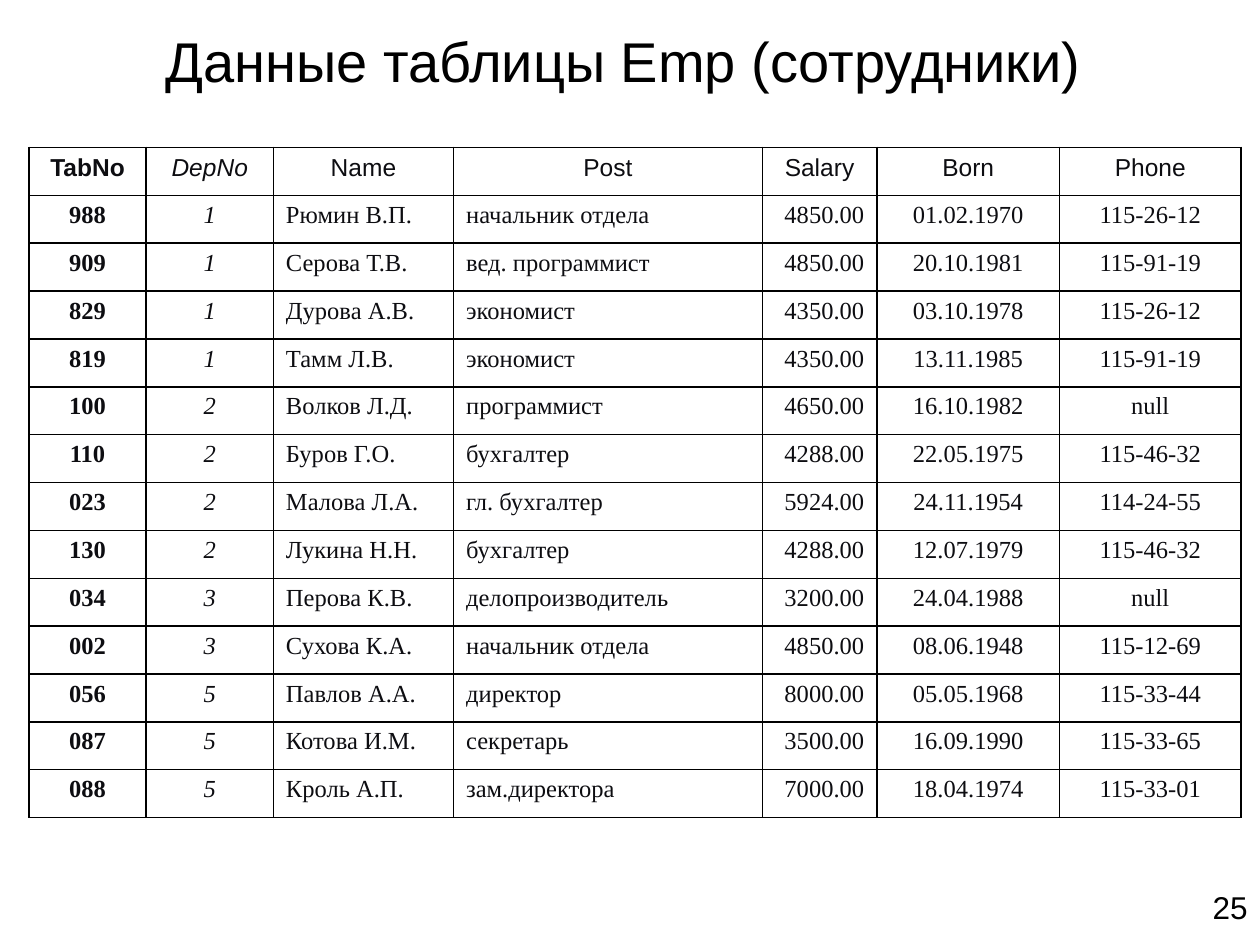
from pptx import Presentation
from pptx.dml.color import RGBColor as RGB
from pptx.enum.text import MSO_ANCHOR as Anchor, PP_ALIGN as Align
from pptx.oxml import parse_xml
from pptx.oxml.ns import nsdecls
from pptx.util import Inches, Pt

COLORS = {"black": "000000", "ink": "0D0D11", "white": "FFFFFF"}
SANS, SERIF = "Arial", "Times New Roman"

# Column heading, width in inches, alignment of the data
COLS = [
    ("TabNo", 0.93, Align.CENTER),
    ("DepNo", 1.01, Align.CENTER),
    ("Name", 1.43, Align.LEFT),
    ("Post", 2.45, Align.LEFT),
    ("Salary", 0.91, Align.RIGHT),
    ("Born", 1.45, Align.CENTER),
    ("Phone", 1.44, Align.CENTER),
]
ROW_H = 0.38

STAFF = [
    ("988", "1", "Рюмин В.П.", "начальник отдела", "4850.00", "01.02.1970", "115-26-12"),
    ("909", "1", "Серова Т.В.", "вед. программист", "4850.00", "20.10.1981", "115-91-19"),
    ("829", "1", "Дурова А.В.", "экономист", "4350.00", "03.10.1978", "115-26-12"),
    ("819", "1", "Тамм Л.В.", "экономист", "4350.00", "13.11.1985", "115-91-19"),
    ("100", "2", "Волков Л.Д.", "программист", "4650.00", "16.10.1982", "null"),
    ("110", "2", "Буров Г.О.", "бухгалтер", "4288.00", "22.05.1975", "115-46-32"),
    ("023", "2", "Малова Л.А.", "гл. бухгалтер", "5924.00", "24.11.1954", "114-24-55"),
    ("130", "2", "Лукина Н.Н.", "бухгалтер", "4288.00", "12.07.1979", "115-46-32"),
    ("034", "3", "Перова К.В.", "делопроизводитель", "3200.00", "24.04.1988", "null"),
    ("002", "3", "Сухова К.А.", "начальник отдела", "4850.00", "08.06.1948", "115-12-69"),
    ("056", "5", "Павлов А.А.", "директор", "8000.00", "05.05.1968", "115-33-44"),
    ("087", "5", "Котова И.М.", "секретарь", "3500.00", "16.09.1990", "115-33-65"),
    ("088", "5", "Кроль А.П.", "зам.директора", "7000.00", "18.04.1974", "115-33-01"),
]


def write(frame, text, size=14, font=SANS, color="ink", align=Align.CENTER,
          bold=False, italic=False):
    para = frame.paragraphs[0]
    para.alignment = align
    run = para.add_run()
    run.text = text
    face = run.font
    face.size, face.name = Pt(size), font
    face.bold, face.italic = bold, italic
    face.color.rgb = RGB.from_string(COLORS[color])


def add_label(slide, text, left, top, width, height, anchor=Anchor.TOP, **style):
    box = slide.shapes.add_textbox(Inches(left), Inches(top), Inches(width), Inches(height))
    frame = box.text_frame
    frame.word_wrap = True
    frame.vertical_anchor = anchor
    write(frame, text, **style)


def set_edges(cell, color="black", width=1):
    # Border lines must come before the fill in the cell properties
    props = cell._tc.get_or_add_tcPr()
    for spot, side in enumerate(("lnL", "lnR", "lnT", "lnB")):
        props.insert(spot, parse_xml(
            f'<a:{side} {nsdecls("a")} w="{Pt(width)}"><a:solidFill>'
            f'<a:srgbClr val="{COLORS[color]}"/></a:solidFill></a:{side}>'))


def add_grid(slide, left, top):
    rows = [[name for name, _, _ in COLS], *STAFF]
    total = sum(width for _, width, _ in COLS)
    grid = slide.shapes.add_table(
        len(rows), len(COLS), Inches(left), Inches(top),
        Inches(total), Inches(ROW_H * len(rows))).table
    for col, (_, width, _) in zip(grid.columns, COLS):
        col.width = Inches(width)
    for r, row in enumerate(rows):
        grid.rows[r].height = Inches(ROW_H)
        for c, text in enumerate(row):
            cell = grid.cell(r, c)
            cell.fill.solid()
            cell.fill.fore_color.rgb = RGB.from_string(COLORS["white"])
            set_edges(cell)
            # Key column is bold, foreign key column is italic
            write(cell.text_frame, text, font=SERIF if r else SANS,
                  align=COLS[c][2] if r else Align.CENTER,
                  bold=c == 0, italic=c == 1)


def main():
    deck = Presentation()
    deck.slide_width, deck.slide_height = Inches(10), Inches(7.5)
    slide = deck.slides.add_slide(deck.slide_layouts[6])

    # Title
    add_label(slide, "Данные таблицы Emp (сотрудники)", 0.7, 0.16, 8.5, 0.63,
              anchor=Anchor.MIDDLE, size=32, color="black")
    # Staff table
    add_grid(slide, 0.23, 1.17)
    # Page number
    add_label(slide, "25", 8.98, 7, 1.02, 0.5, size=18, color="black", align=Align.RIGHT)

    deck.save("out.pptx")


if __name__ == "__main__":
    main()
